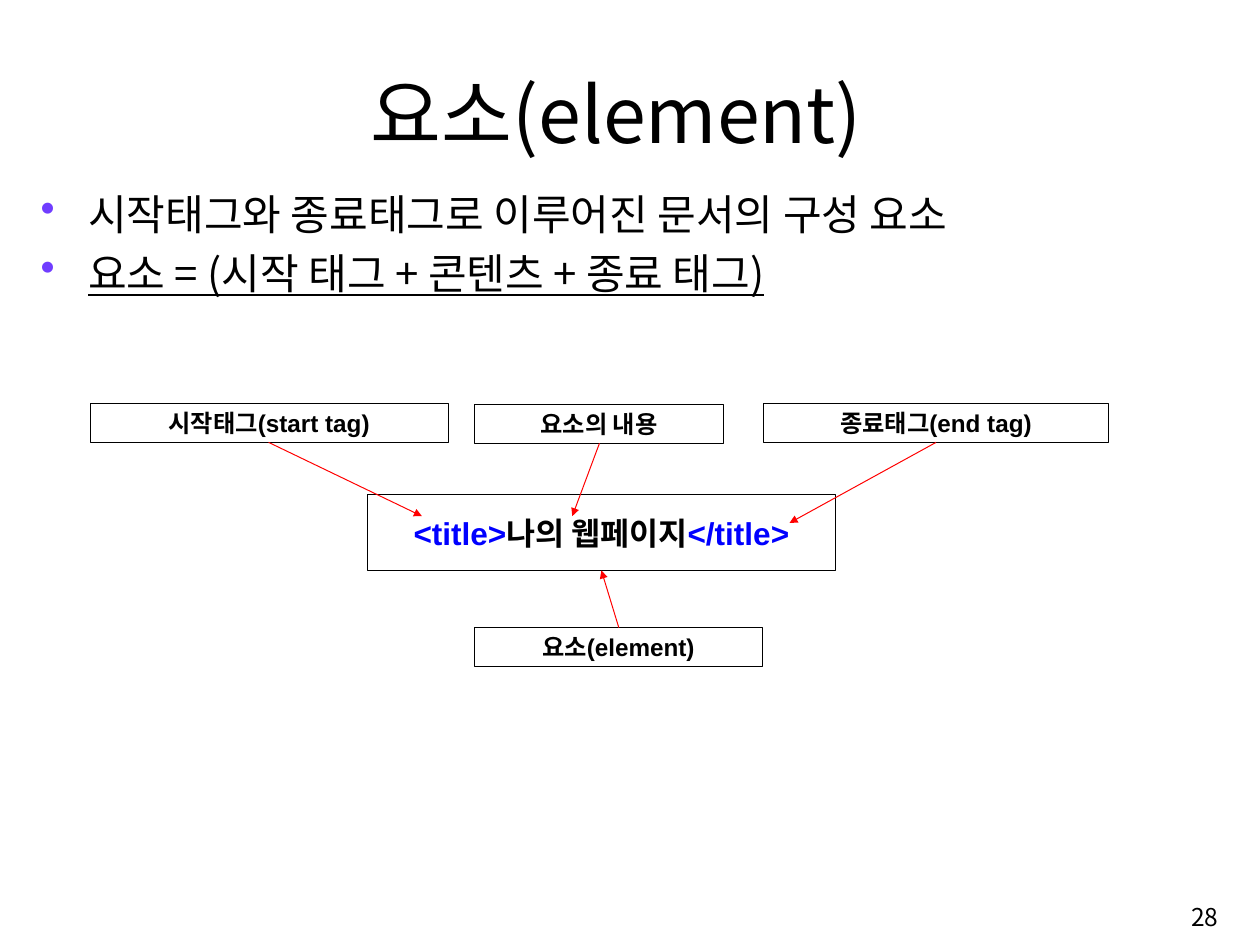
from dataclasses import dataclass

from lxml import etree
from pptx import Presentation
from pptx import util as u
from pptx.dml import color
from pptx.enum import shapes, text
from pptx.oxml import ns

COLORS = {"ink": "000000", "tag": "0000FF", "arrow": "FF0000", "bullet": "703DFF"}
KOREAN = "Noto Sans CJK KR"
LATIN = "Arial"
ALIGN = text.PP_ALIGN
ANCHOR = text.MSO_ANCHOR


@dataclass
class Run:
    wording: str
    size: float
    font: str = KOREAN
    ink: str = "ink"
    bold: bool = False
    underline: bool = False


@dataclass
class Area:
    left: float
    top: float
    width: float
    height: float

    def lengths(self) -> list:
        return [u.Inches(n) for n in (self.left, self.top, self.width, self.height)]


@dataclass
class Box:
    area: Area
    runs: list[Run]


@dataclass
class Arrow:
    start: tuple[float, float]
    end: tuple[float, float]


def label(wording: str) -> list[Run]:
    return [Run(wording, 18, LATIN, bold=True)]


def title_part(wording: str, ink: str) -> Run:
    return Run(wording, 23.4, LATIN, ink, bold=True)


HEADING = Box(Area(1.05, 0.61, 10.61, 1.08), [Run("요소(element)", 57.2)])
PAGE_NUMBER = Box(Area(9.98, 9.15, 2.68, 0.6), [Run("28", 18.2)])
BODY_AREA = Area(0.32, 1.89, 12.32, 7.06)
BULLETS = [
    Run("시작태그와 종료태그로 이루어진 문서의 구성 요소", 31.2),
    Run("요소 = (시작 태그 + 콘텐츠 + 종료 태그)", 31.2, underline=True),
]
BOXES = [
    Box(Area(3.79, 5.1, 4.82, 0.78), [
        title_part("<title>", "tag"),
        title_part("나의 웹페이지", "ink"),
        title_part("</title>", "tag"),
    ]),
    Box(Area(0.93, 4.16, 3.69, 0.4), label("시작태그(start tag)")),
    Box(Area(4.89, 6.47, 2.97, 0.4), label("요소(element)")),
    Box(Area(7.87, 4.16, 3.56, 0.4), label("종료태그(end tag)")),
    Box(Area(4.89, 4.17, 2.57, 0.4), label("요소의 내용")),
]
ARROWS = [
    Arrow((6.18, 4.57), (5.9, 5.32)),
    Arrow((9.65, 4.56), (8.14, 5.39)),
    Arrow((2.77, 4.56), (4.35, 5.32)),
    Arrow((6.38, 6.47), (6.2, 5.88)),
]


def rgb(name: str) -> color.RGBColor:
    return color.RGBColor.from_string(COLORS[name])


def add_run(paragraph, item: Run) -> None:
    run = paragraph.add_run()
    run.text = item.wording
    font = run.font
    font.name = item.font
    font.size = u.Pt(item.size)
    font.bold = item.bold
    font.underline = item.underline
    font.color.rgb = rgb(item.ink)
    east_asian = etree.Element(ns.qn("a:ea"), typeface=KOREAN)
    font._element.find(ns.qn("a:latin")).addnext(east_asian)


def fill_text(shape, runs: list[Run], align, anchor) -> None:
    frame = shape.text_frame
    frame.word_wrap = True
    frame.vertical_anchor = anchor
    paragraph = frame.paragraphs[0]
    paragraph.alignment = align
    for item in runs:
        add_run(paragraph, item)


def add_text(slide, box: Box, align, anchor) -> None:
    fill_text(slide.shapes.add_textbox(*box.area.lengths()), box.runs, align, anchor)


def add_bullets(slide) -> None:
    frame = slide.shapes.add_textbox(*BODY_AREA.lengths()).text_frame
    frame.word_wrap = True
    for index, item in enumerate(BULLETS):
        paragraph = frame.add_paragraph() if index else frame.paragraphs[0]
        properties = paragraph._p.get_or_add_pPr()
        properties.set("marL", str(u.Inches(0.49)))
        properties.set("indent", str(u.Inches(-0.49)))
        spacing = etree.SubElement(properties, ns.qn("a:spcBef"))
        etree.SubElement(spacing, ns.qn("a:spcPct"), val="20000")
        bullet_color = etree.SubElement(properties, ns.qn("a:buClr"))
        etree.SubElement(bullet_color, ns.qn("a:srgbClr"), val=COLORS["bullet"])
        etree.SubElement(properties, ns.qn("a:buChar"), char="•")
        add_run(paragraph, item)


def add_box(slide, box: Box) -> None:
    shape = slide.shapes.add_shape(shapes.MSO_SHAPE.RECTANGLE, *box.area.lengths())
    shape.shadow.inherit = False
    shape.fill.background()
    shape.line.color.rgb = rgb("ink")
    shape.line.width = u.Pt(0.75)
    fill_text(shape, box.runs, ALIGN.CENTER, ANCHOR.MIDDLE)


def add_arrow(slide, arrow: Arrow) -> None:
    ends = [u.Inches(n) for n in arrow.start + arrow.end]
    connector = slide.shapes.add_connector(shapes.MSO_CONNECTOR.STRAIGHT, *ends)
    connector.line.color.rgb = rgb("arrow")
    connector.line.width = u.Pt(0.75)
    line = connector.line._get_or_add_ln()
    etree.SubElement(line, ns.qn("a:tailEnd"), type="triangle")
    etree.SubElement(connector._element.spPr, ns.qn("a:effectLst"))


def main() -> None:
    presentation = Presentation()
    presentation.slide_width = u.Inches(12.99)
    presentation.slide_height = u.Inches(9.74)
    slide = presentation.slides.add_slide(presentation.slide_layouts[6])
    add_text(slide, HEADING, ALIGN.CENTER, ANCHOR.BOTTOM)
    add_bullets(slide)
    for box in BOXES:
        add_box(slide, box)
    for arrow in ARROWS:
        add_arrow(slide, arrow)
    add_text(slide, PAGE_NUMBER, ALIGN.RIGHT, ANCHOR.MIDDLE)
    presentation.save("out.pptx")


if __name__ == "__main__":
    main()
